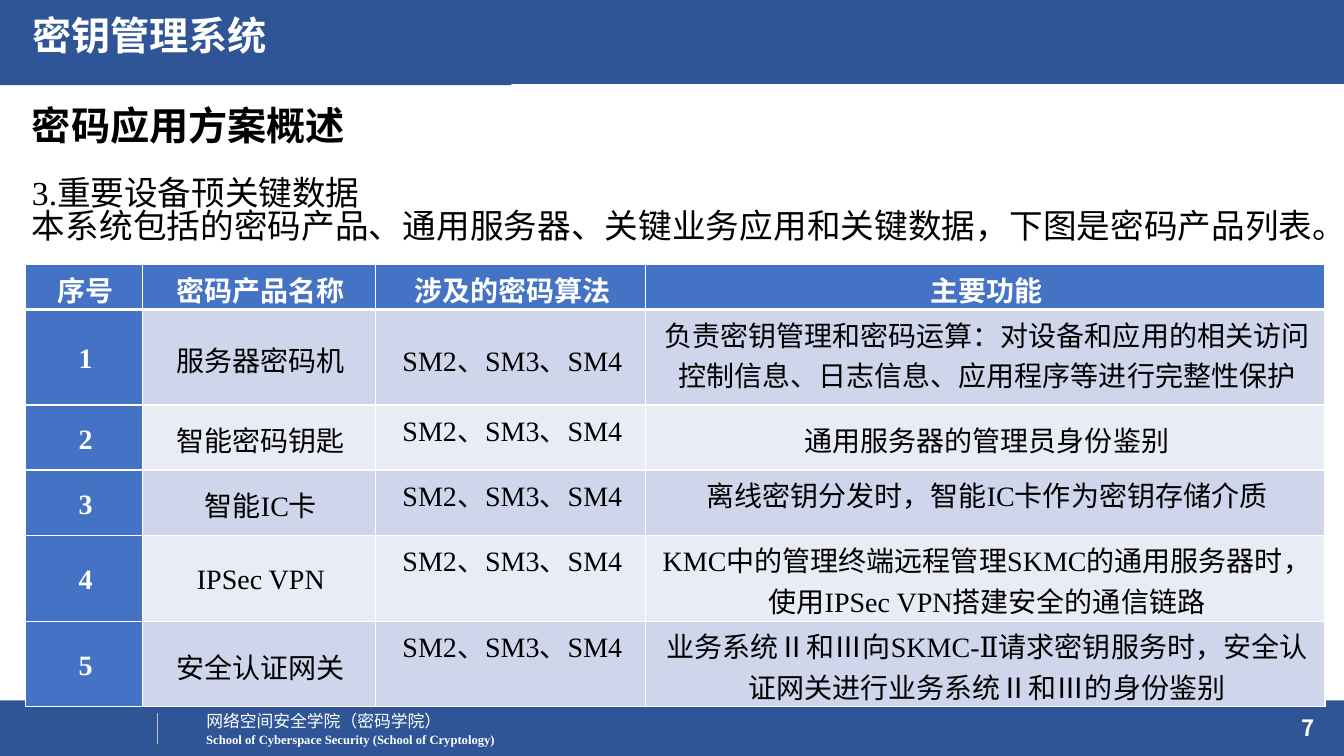
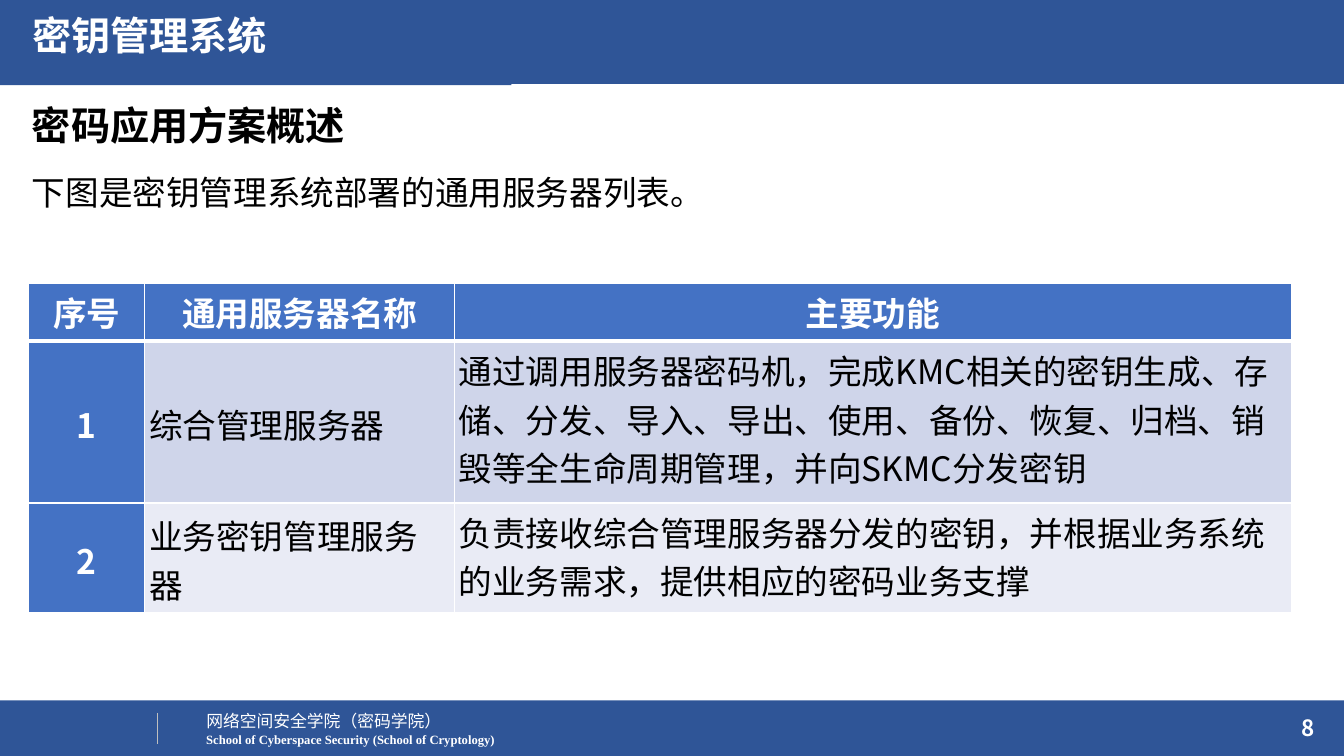
from lxml import etree
from pptx import Presentation
from pptx import util as u
from pptx.dml.color import RGBColor
from pptx.enum import shapes, text
from pptx.oxml import ns

PX = 9525
WIDTH, HEIGHT = 1280, 720
NAVY, BLUE, PALE, PALER = "2F5597", "4472C4", "CFD5EA", "E9EBF5"
WHITE, BLACK, GREY = "FFFFFF", "000000", "BFBFBF"
SANS, SERIF = "Noto Sans CJK SC", "Times New Roman"
LEFT, CENTER, RIGHT, JUSTIFY = (
    text.PP_ALIGN.LEFT, text.PP_ALIGN.CENTER, text.PP_ALIGN.RIGHT, text.PP_ALIGN.JUSTIFY)
TOP, MIDDLE = text.MSO_ANCHOR.TOP, text.MSO_ANCHOR.MIDDLE


def px(*lengths):
    return [u.Emu(length * PX) for length in lengths]


def color(value):
    return RGBColor.from_string(value)


def assign(target, **values):
    for name, value in values.items():
        setattr(target, name, value)


def sub(parent, tag, **attributes):
    return etree.SubElement(parent, ns.qn(tag), **attributes)


class Deck:
    """Holds the shared style and the slide being built."""

    def __init__(self):
        self.deck = Presentation()
        self.deck.slide_width, self.deck.slide_height = px(WIDTH, HEIGHT)
        self.page = None

    def start(self, number, title, heading):
        """Add a slide with its bands, footer, title and section heading."""
        self.page = self.deck.slides.add_slide(self.deck.slide_layouts[5])
        self.band(0, 667, WIDTH, 53)
        self.band(0, 0, WIDTH, 80)
        self.band(0, 0, 487, 81)
        self.text(187, 672, 246, 29, ["网络空间安全学院（密码学院）"],
                  size=12, ink=WHITE, wrap=False)
        self.text(187, 692, 297, 24, ["School of Cyberspace Security (School of Cryptology)"],
                  size=9, ink=WHITE, bold=True, name=SERIF, wrap=False)
        self.divider(150, 679, 709)
        self.text(974, 674, 288, 38, [str(number)], size=16, ink=WHITE, bold=True,
                  align=RIGHT, anchor=MIDDLE)
        self.title(title)
        self.text(21, 97, 1239, 60, [heading], size=28, bold=True, spacing=[0.9])

    def band(self, left, top, width, height):
        band = self.page.shapes.add_shape(
            shapes.MSO_SHAPE.RECTANGLE, *px(left, top, width, height))
        band.shadow.inherit = False
        band.fill.solid()
        band.fill.fore_color.rgb = color(NAVY)
        band.line.fill.background()

    def divider(self, left, top, bottom):
        line = self.page.shapes.add_connector(
            shapes.MSO_CONNECTOR.STRAIGHT, *px(left, top, left, bottom))
        line.line.color.rgb = color(GREY)
        line.line.width = u.Pt(0.5)
        sub(line._element.spPr, "a:effectLst")

    def title(self, words):
        title = self.page.shapes.title
        self.page.shapes._spTree.append(title._element)  # in front of the bands
        left, top, width, height = px(21, 11, 808, 59)
        assign(title, left=left, top=top, width=width, height=height)
        self.frame(title.text_frame, [words], size=28, ink=WHITE, bold=True, spacing=[0.9])

    def text(self, left, top, width, height, lines, **style):
        box = self.page.shapes.add_textbox(*px(left, top, width, height))
        self.frame(box.text_frame, lines, **style)

    def frame(self, frame, lines, align=LEFT, anchor=TOP, wrap=True, spacing=(), **style):
        assign(frame, word_wrap=wrap, vertical_anchor=anchor,
               auto_size=text.MSO_AUTO_SIZE.NONE)
        for index, line in enumerate(lines):
            para = frame.add_paragraph() if index else frame.paragraphs[0]
            assign(para, alignment=align, space_before=u.Pt(0))
            if spacing:
                para.line_spacing = spacing[index]
            self.span(para, line, **style)

    def span(self, para, words, size, ink=BLACK, bold=False, name=SANS):
        span = para.add_run()
        span.text = words
        assign(span.font, size=u.Pt(size), bold=bold, name=name)
        span.font.color.rgb = color(ink)
        sub(span._r.get_or_add_rPr(), "a:ea", typeface=SANS)

    def table(self, left, top, columns, heights, rows, size, name, inset, align, middle=()):
        """Draw a table; middle lists the (row, column) cells centred beyond column 1."""
        table = self.page.shapes.add_table(
            len(rows), len(columns), *px(left, top, sum(columns), sum(heights))).table
        for column, width in zip(table.columns, px(*columns)):
            column.width = width
        for row, height in zip(table.rows, px(*heights)):
            row.height = height
        for i, row in enumerate(rows):
            for j, words in enumerate(row):
                cell = table.cell(i, j)
                strong = i == 0 or j == 0
                centred = i > 0 and (j < 2 or (i, j) in middle)
                margins = px(inset, 4, 4, 0)
                assign(cell, vertical_anchor=MIDDLE if centred else TOP,
                       margin_left=margins[0], margin_top=margins[1],
                       margin_right=margins[2], margin_bottom=margins[3])
                self.borders(cell, top=3 if i == 1 else 1, bottom=1 if i else 3)
                cell.fill.solid()
                cell.fill.fore_color.rgb = color(BLUE if strong else PALE if i % 2 else PALER)
                para = cell.text_frame.paragraphs[0]
                para.alignment = CENTER if strong else align
                self.span(para, words, size, WHITE if strong else BLACK, strong, name)

    def borders(self, cell, top, bottom):
        properties = cell._tc.get_or_add_tcPr()
        for tag, points in (("a:lnL", 1), ("a:lnR", 1), ("a:lnT", top), ("a:lnB", bottom)):
            line = sub(properties, tag, w=str(u.Pt(points)))
            sub(sub(line, "a:solidFill"), "a:srgbClr", val=WHITE)


def main():
    title, heading = "密钥管理系统", "密码应用方案概述"
    algorithms = "SM2、SM3、SM4"
    products = [
        ("服务器密码机", "负责密钥管理和密码运算：对设备和应用的相关访问控制信息、日志信息、应用程序等进行完整性保护"),
        ("智能密码钥匙", "通用服务器的管理员身份鉴别"),
        ("智能IC卡", "离线密钥分发时，智能IC卡作为密钥存储介质"),
        ("IPSec VPN", "KMC中的管理终端远程管理SKMC的通用服务器时，使用IPSec VPN搭建安全的通信链路"),
        ("安全认证网关", "业务系统Ⅱ和Ⅲ向SKMC-Ⅱ请求密钥服务时，安全认证网关进行业务系统Ⅱ和Ⅲ的身份鉴别"),
    ]
    servers = [
        ("综合管理服务器", "通过调用服务器密码机，完成KMC相关的密钥生成、存储、分发、导入、导出、使用、备份、恢复、归档、销毁等全生命周期管理，并向SKMC分发密钥"),
        ("业务密钥管理服务器", "负责接收综合管理服务器分发的密钥，并根据业务系统的业务需求，提供相应的密码业务支撑"),
    ]
    body = dict(size=24, name=SERIF, align=JUSTIFY)
    deck = Deck()

    deck.start(7, title, heading)
    deck.text(21, 163, 1239, 474, [
        "3.重要设备顸关键数据",
        "本系统包括的密码产品、通用服务器、关键业务应用和关键数据，下图是密码产品列表。",
    ], spacing=[0.9, 0.82], **body)
    deck.table(
        24, 252, [112, 222, 257, 647], [42, 91, 62, 62, 82, 81],
        [("序号", "密码产品名称", "涉及的密码算法", "主要功能")]
        + [(str(n), product, algorithms, role) for n, (product, role) in enumerate(products, 1)],
        size=20, name=SERIF, inset=7, align=CENTER, middle=[(1, 2), (2, 3)])

    deck.start(8, title, heading)
    deck.text(21, 163, 1239, 474, ["下图是密钥管理系统部署的通用服务器列表。"],
              spacing=[0.9], **body)
    deck.table(
        27, 270, [111, 295, 797], [55, 154, 104],
        [("序号", "通用服务器名称", "主要功能")]
        + [(str(n), *server) for n, server in enumerate(servers, 1)],
        size=24, name=SANS, inset=4, align=LEFT)

    deck.deck.save("out.pptx")


if __name__ == "__main__":
    main()
